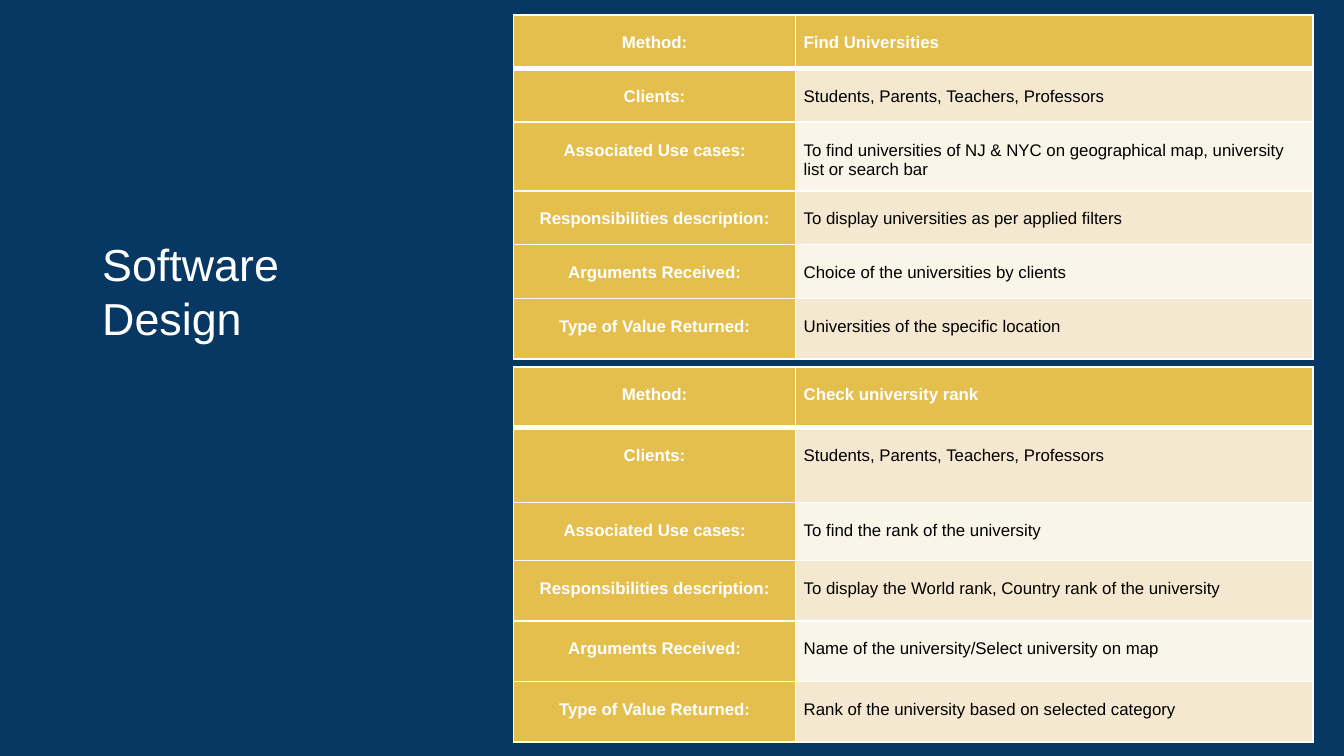
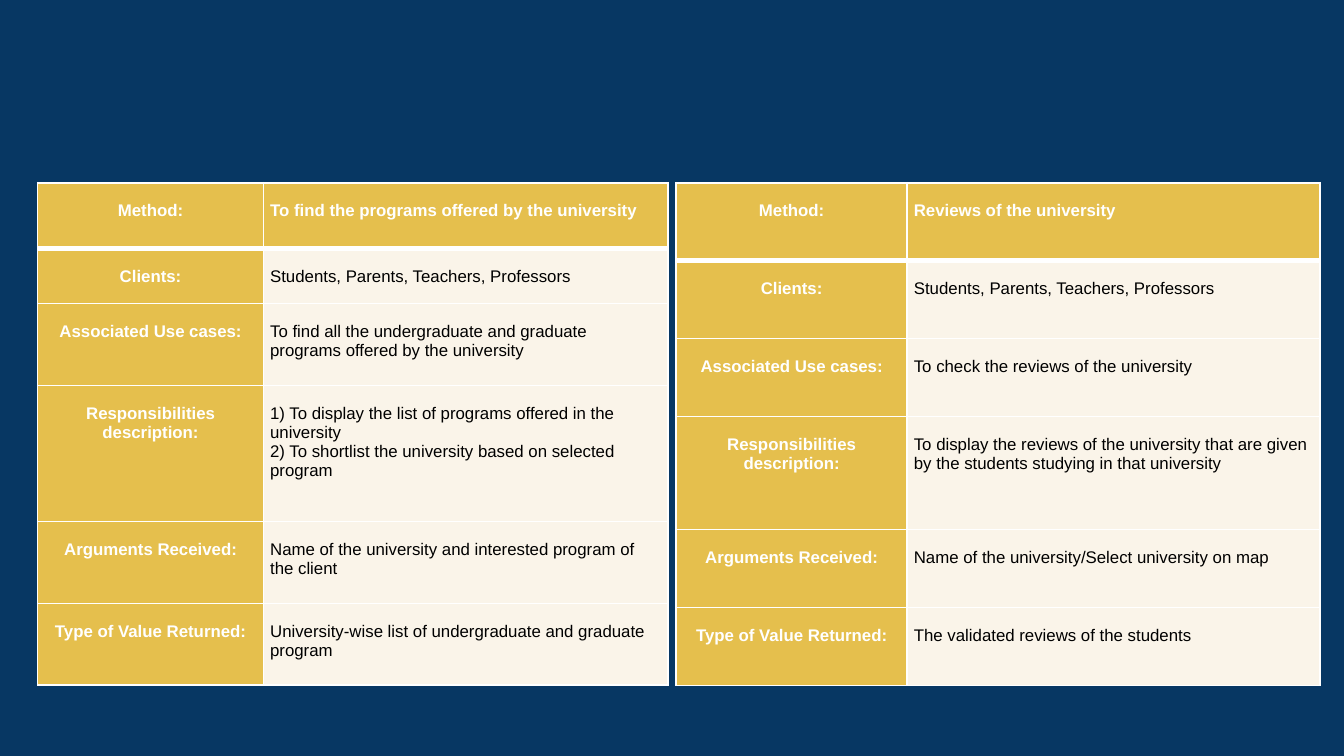
from lxml.etree import SubElement
from pptx import Presentation
from pptx.dml.color import RGBColor
from pptx.enum.text import MSO_ANCHOR, PP_ALIGN
from pptx.oxml.ns import qn
from pptx.util import Inches, Pt

FONT = "Arial"
NAVY, GOLD, WHITE, BLACK = "073763", "E5BF4D", "FFFFFF", "000000"
SAND, CREAM = "F5E8D0", "FAF4E9"

LABELS = [
    "Method:",
    "Clients:",
    "Associated Use cases:",
    "Responsibilities description:",
    "Arguments Received:",
    "Type of Value Returned:",
]
CLIENTS = "Students, Parents, Teachers, Professors"

SLIDES = [
    {
        "title": "Software Design",
        "bands": [SAND, CREAM],
        "inset": 0.06,
        "tables": [
            {
                "at": (3.82, 0.11),
                "columns": [2.1, 3.85],
                "rows": [0.4, 0.4, 0.51, 0.4, 0.4, 0.45],
                "values": [
                    "Find Universities",
                    CLIENTS,
                    "To find universities of NJ & NYC on geographical map, university list or search bar",
                    "To display universities as per applied filters",
                    "Choice of the universities by clients",
                    "Universities of the specific location",
                ],
            },
            {
                "at": (3.82, 2.73),
                "columns": [2.1, 3.85],
                "rows": [0.45, 0.56, 0.43, 0.45, 0.45, 0.45],
                "values": [
                    "Check university rank",
                    CLIENTS,
                    "To find the rank of the university",
                    "To display the World rank, Country rank of the university",
                    "Name of the university/Select university on map",
                    "Rank of the university based on selected category",
                ],
            },
        ],
    },
    {
        "title": None,
        "bands": [CREAM],
        "inset": 0.05,
        "tables": [
            {
                "at": (5.03, 1.36),
                "columns": [1.72, 3.07],
                "rows": [0.58, 0.58, 0.58, 0.84, 0.58, 0.58],
                "values": [
                    "Reviews of the university",
                    CLIENTS,
                    "To check the reviews of the university",
                    "To display the reviews of the university that are given "
                    "by the students studying in that university",
                    "Name of the university/Select university on map",
                    "The validated reviews of the students",
                ],
            },
            {
                "at": (0.28, 1.36),
                "columns": [1.68, 3.01],
                "rows": [0.49, 0.41, 0.61, 1.01, 0.61, 0.61],
                "values": [
                    "To find the programs offered by the university",
                    CLIENTS,
                    "To find all the undergraduate and graduate programs offered by the university",
                    "1) To display the list of programs offered in the university\n"
                    "2) To shortlist the university based on selected program",
                    "Name of the university and interested program of the client",
                    "University-wise list of undergraduate and graduate program",
                ],
            },
        ],
    },
]


def color(value):
    return RGBColor.from_string(value)


def style_text(text_frame, size, text_color, bold=False, align=PP_ALIGN.LEFT):
    for paragraph in text_frame.paragraphs:
        paragraph.alignment = align
        paragraph.font.name = FONT
        paragraph.font.size = Pt(size)
        paragraph.font.bold = bold
        paragraph.font.color.rgb = color(text_color)


def set_borders(cell, top, bottom):
    properties = cell._tc.get_or_add_tcPr()
    sides = [("lnL", 1), ("lnR", 1), ("lnT", top), ("lnB", bottom)]
    for position, (side, width) in enumerate(sides):
        line = SubElement(properties, qn(f"a:{side}"), w=str(Pt(width)))
        fill = SubElement(line, qn("a:solidFill"))
        SubElement(fill, qn("a:srgbClr"), val=WHITE)
        properties.insert(position, line)


def add_title(slide, text):
    box = slide.shapes.add_textbox(Inches(0.69), Inches(1.72), Inches(2.19), Inches(1.46))
    frame = box.text_frame
    frame.word_wrap = True
    frame.vertical_anchor = MSO_ANCHOR.TOP
    frame.margin_left = frame.margin_right = Inches(0.07)
    frame.margin_top = frame.margin_bottom = Inches(0.04)
    frame.text = text
    style_text(frame, 24, WHITE)


def fill_cell(cell, text, row, is_label, bands, inset):
    highlighted = is_label or row == 0
    cell.margin_left = cell.margin_right = Inches(inset)
    cell.margin_top, cell.margin_bottom = Inches(0.14), 0
    cell.vertical_anchor = MSO_ANCHOR.TOP
    cell.text = text
    style_text(
        cell.text_frame,
        9,
        WHITE if highlighted else BLACK,
        highlighted,
        PP_ALIGN.CENTER if is_label else PP_ALIGN.LEFT,
    )
    cell.fill.solid()
    cell.fill.fore_color.rgb = color(GOLD if highlighted else bands[(row - 1) % len(bands)])
    set_borders(cell, top=3 if row == 1 else 1, bottom=3 if row == 0 else 1)


def add_method_table(slide, content, bands, inset):
    left, top = content["at"]
    columns, rows = content["columns"], content["rows"]
    table = slide.shapes.add_table(
        len(rows), len(columns), Inches(left), Inches(top),
        Inches(sum(columns)), Inches(sum(rows)),
    ).table
    for column, width in zip(table.columns, columns):
        column.width = Inches(width)
    for row, height in zip(table.rows, rows):
        row.height = Inches(height)
    for row, pair in enumerate(zip(LABELS, content["values"])):
        for column, text in enumerate(pair):
            fill_cell(table.cell(row, column), text, row, column == 0, bands, inset)


def main():
    presentation = Presentation()
    presentation.slide_width = Inches(10)
    presentation.slide_height = Inches(10 * 9 / 16)
    for content in SLIDES:
        slide = presentation.slides.add_slide(presentation.slide_layouts[6])
        slide.background.fill.solid()
        slide.background.fill.fore_color.rgb = color(NAVY)
        if content["title"]:
            add_title(slide, content["title"])
        for table in content["tables"]:
            add_method_table(slide, table, content["bands"], content["inset"])
    presentation.save("out.pptx")


if __name__ == "__main__":
    main()
